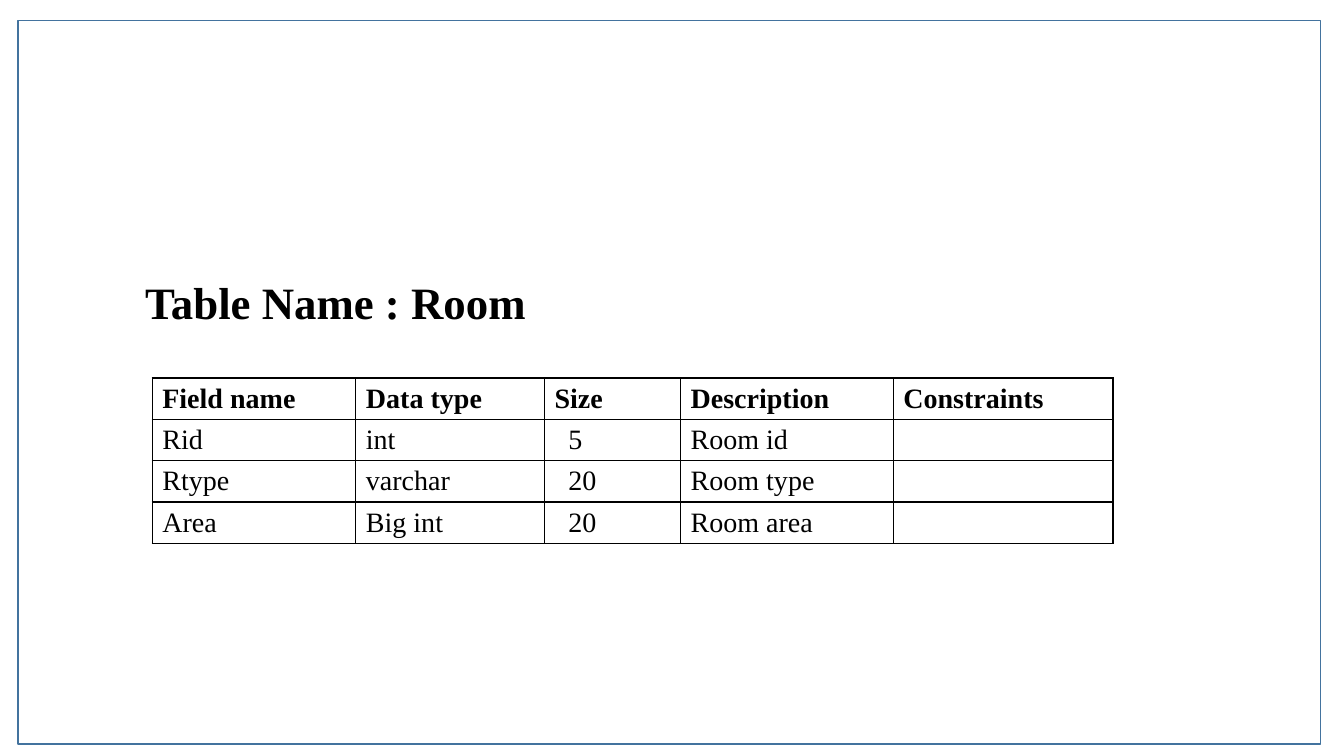
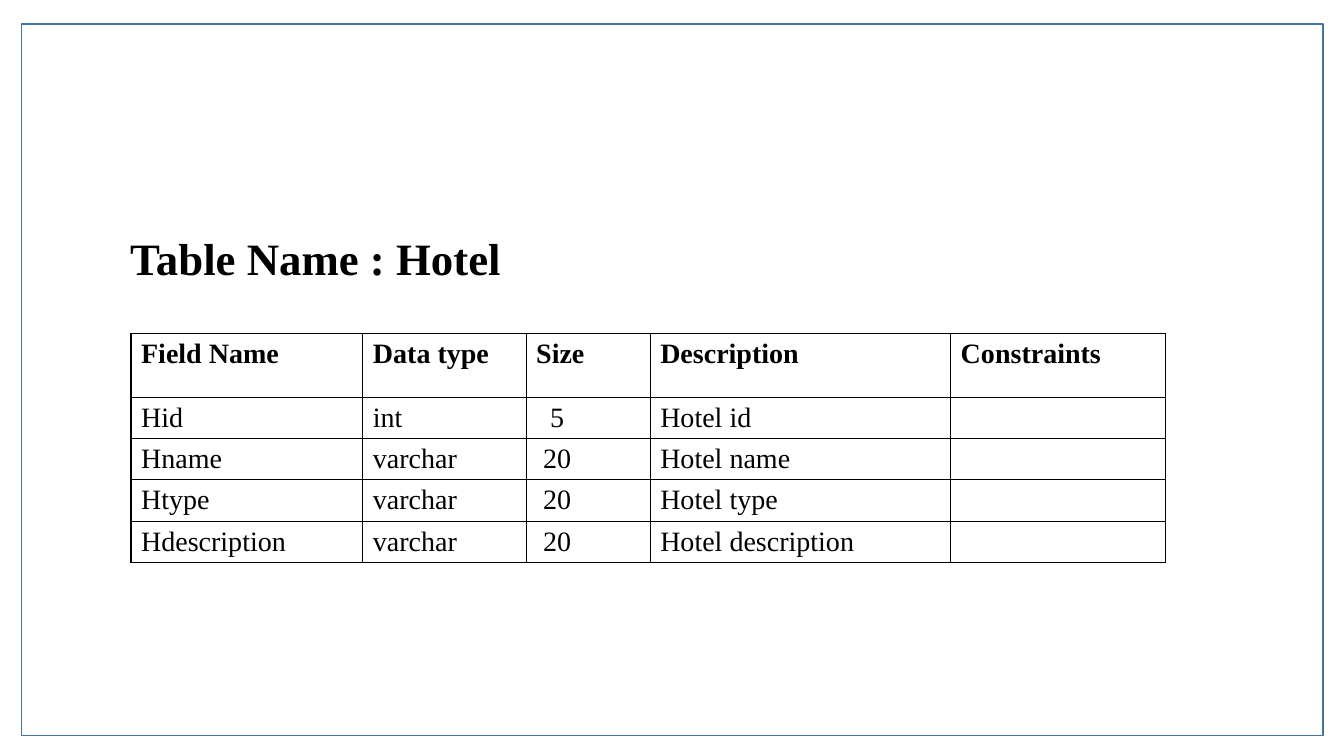
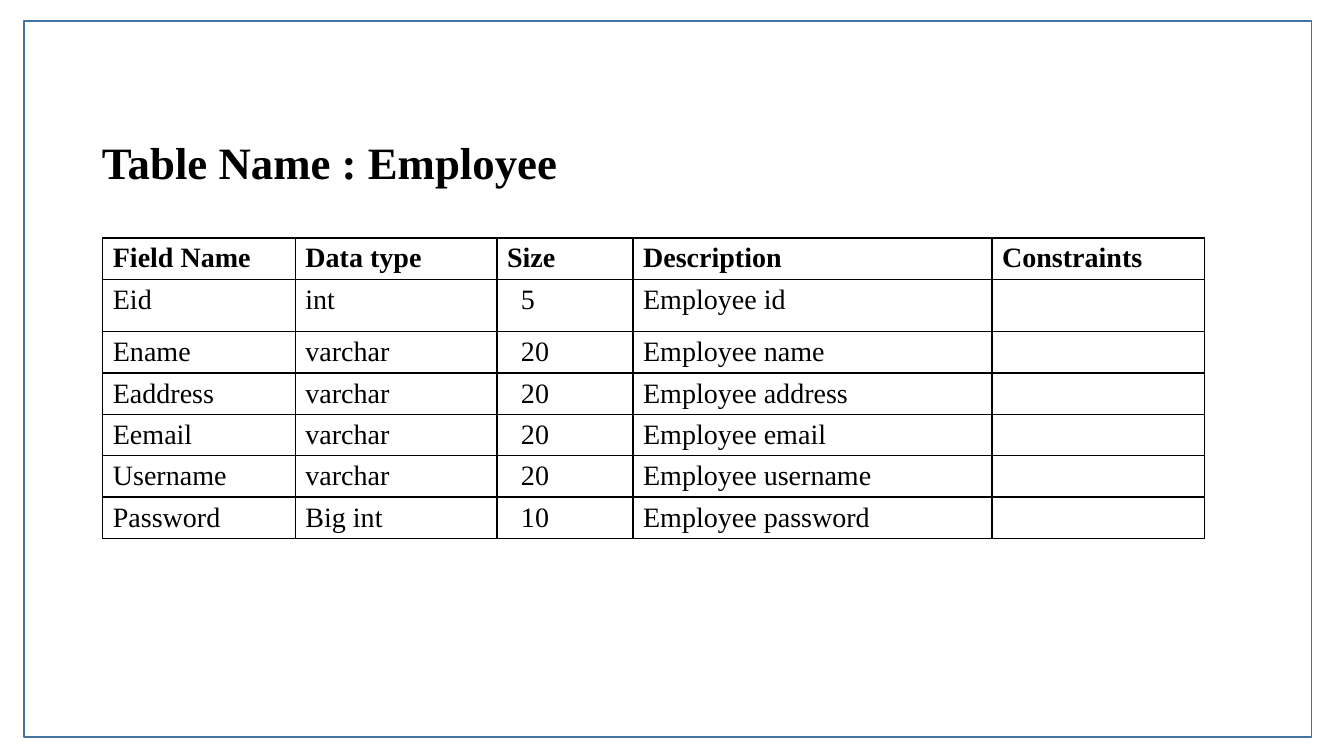
from lxml.etree import SubElement
from pptx import Presentation
from pptx.dml.color import RGBColor
from pptx.enum.shapes import MSO_SHAPE
from pptx.enum.text import MSO_ANCHOR, MSO_AUTO_SIZE, PP_ALIGN
from pptx.oxml.ns import qn
from pptx.util import Inches, Pt

COLORS = {"text": "000000", "border": "000000", "frame": "43739E", "background": "FFFFFF"}
FONT = "Times New Roman"
TITLE_FORMAT = {"name": FONT, "size": Pt(32), "bold": True}
HEADER_FORMAT = {"name": FONT, "size": Pt(20), "bold": True}
CELL_FORMAT = {**HEADER_FORMAT, "bold": False}

# Lengths are grid units: one column or row is a hundredth of the slide
TITLE_ROWS = 19.33
LINE_ROWS = 5.47
CELL_MARGIN = Inches(0.1)
INDENT_STEP = Pt(5)
SIZE_COLUMN = 2


class Deck:
    """Holds the style and the current slide."""

    def __init__(self):
        self.presentation = Presentation()
        self.presentation.slide_width = Inches(13.33)
        self.presentation.slide_height = Inches(7.5)
        background = self.presentation.slide_master.background.fill
        background.solid()
        background.fore_color.rgb = RGBColor.from_string(COLORS["background"])
        self.slide = None

    def columns(self, count):
        return round(self.presentation.slide_width * count / 100)

    def rows(self, count):
        return round(self.presentation.slide_height * count / 100)

    def box(self, left, top, width, height):
        return self.columns(left), self.rows(top), self.columns(width), self.rows(height)

    def add_slide(self):
        title_only = self.presentation.slide_layouts[5]
        self.slide = self.presentation.slides.add_slide(title_only)

    def add_text(self, paragraph, text, formats):
        run = paragraph.add_run()
        run.text = text
        for name, value in formats.items():
            setattr(run.font, name, value)
        run.font.color.rgb = RGBColor.from_string(COLORS["text"])

    def title(self, text, left, top, width):
        shape = self.slide.shapes.title
        places = ("left", "top", "width", "height")
        for name, value in zip(places, self.box(left, top, width, TITLE_ROWS)):
            setattr(shape, name, value)
        frame_format = {
            "vertical_anchor": MSO_ANCHOR.MIDDLE,
            "word_wrap": True,
            "auto_size": MSO_AUTO_SIZE.NONE,
        }
        for name, value in frame_format.items():
            setattr(shape.text_frame, name, value)
        paragraph = shape.text_frame.paragraphs[0]
        paragraph.alignment = PP_ALIGN.LEFT
        paragraph.line_spacing = 0.9
        self.add_text(paragraph, text, TITLE_FORMAT)

    def border(self, cell):
        properties = cell._tc.get_or_add_tcPr()
        for side in ("a:lnL", "a:lnR", "a:lnT", "a:lnB"):
            line = SubElement(properties, qn(side), w=str(Pt(1)))
            fill = SubElement(line, qn("a:solidFill"))
            SubElement(fill, qn("a:srgbClr"), val=COLORS["border"])

    def table(self, records, left, top, widths, heights, indents):
        place = self.box(left, top, sum(widths), sum(heights))
        table = self.slide.shapes.add_table(len(records), len(widths), *place).table
        table.first_row = table.horz_banding = False
        for column, width in zip(table.columns, widths):
            column.width = self.columns(width)
        for row, height in zip(table.rows, heights):
            row.height = self.rows(height)
        for row_index, record in enumerate(records):
            formats = CELL_FORMAT if row_index else HEADER_FORMAT
            for column_index, text in enumerate(record):
                cell = table.cell(row_index, column_index)
                self.border(cell)
                cell.fill.background()
                if column_index == SIZE_COLUMN:
                    cell.margin_left = CELL_MARGIN + INDENT_STEP * indents[row_index]
                if text:
                    self.add_text(cell.text_frame.paragraphs[0], text, formats)

    def frame(self, left, top, width, height):
        place = self.box(left, top, width, height)
        shape = self.slide.shapes.add_shape(MSO_SHAPE.RECTANGLE, *place)
        shape.shadow.inherit = False
        shape.fill.background()
        shape.line.color.rgb = RGBColor.from_string(COLORS["frame"])
        shape.line.width = Pt(1)


# Each field: name, data type, size, description
TABLES = [
    {
        "name": "Room",
        "first_header": "Field name",
        "title_left": 10.05,
        "left": 11.33,
        "top": 50,
        "widths": [15.15, 14.03, 10.13, 15.83, 16.35],
        "tall_rows": {},
        "number_indent": 2,
        "frame": (1.35, 2.67, 96.92, 95.73),
        "fields": [
            ("Rid", "int", "5", "Room id"),
            ("Rtype", "varchar", "20", "Room type"),
            ("Area", "Big int", "20", "Room area"),
        ],
    },
    {
        "name": "Hotel",
        "first_header": "Field Name",
        "title_left": 8.93,
        "left": 9.75,
        "top": 44.13,
        "widths": [17.25, 12.15, 9.23, 22.36, 15.98],
        "tall_rows": {0: 8.4},
        "number_indent": 1,
        "frame": (1.58, 3.2, 96.85, 94.13),
        "fields": [
            ("Hid", "int", "5", "Hotel id"),
            ("Hname", "varchar", "20", "Hotel name"),
            ("Htype", "varchar", "20", "Hotel type"),
            ("Hdescription", "varchar", "20", "Hotel description"),
        ],
    },
    {
        "name": "Employee",
        "first_header": "Field Name",
        "title_left": 6.83,
        "left": 7.65,
        "top": 31.47,
        "widths": [14.33, 15, 10.13, 26.71, 15.83],
        "tall_rows": {1: 6.93},
        "number_indent": 2,
        "frame": (1.8, 2.8, 95.8, 94.67),
        "fields": [
            ("Eid", "int", "5", "Employee id"),
            ("Ename", "varchar", "20", "Employee name"),
            ("Eaddress", "varchar", "20", "Employee address"),
            ("Eemail", "varchar", "20", "Employee email"),
            ("Username", "varchar", "20", "Employee username"),
            ("Password", "Big int", "10", "Employee password"),
        ],
    },
]


def main():
    deck = Deck()
    for entry in TABLES:
        header = (entry["first_header"], "Data type", "Size", "Description", "Constraints")
        records = [header] + [(*field, "") for field in entry["fields"]]
        heights = [entry["tall_rows"].get(row, LINE_ROWS) for row in range(len(records))]
        # The header is flush left and the id row is always two steps in
        indents = [0, 2] + [entry["number_indent"]] * (len(records) - 2)

        deck.add_slide()
        deck.title(
            f"Table Name : {entry['name']}",
            entry["title_left"],
            entry["top"] - TITLE_ROWS,
            sum(entry["widths"]),
        )
        deck.table(records, entry["left"], entry["top"], entry["widths"], heights, indents)
        deck.frame(*entry["frame"])
    deck.presentation.save("out.pptx")


if __name__ == "__main__":
    main()
